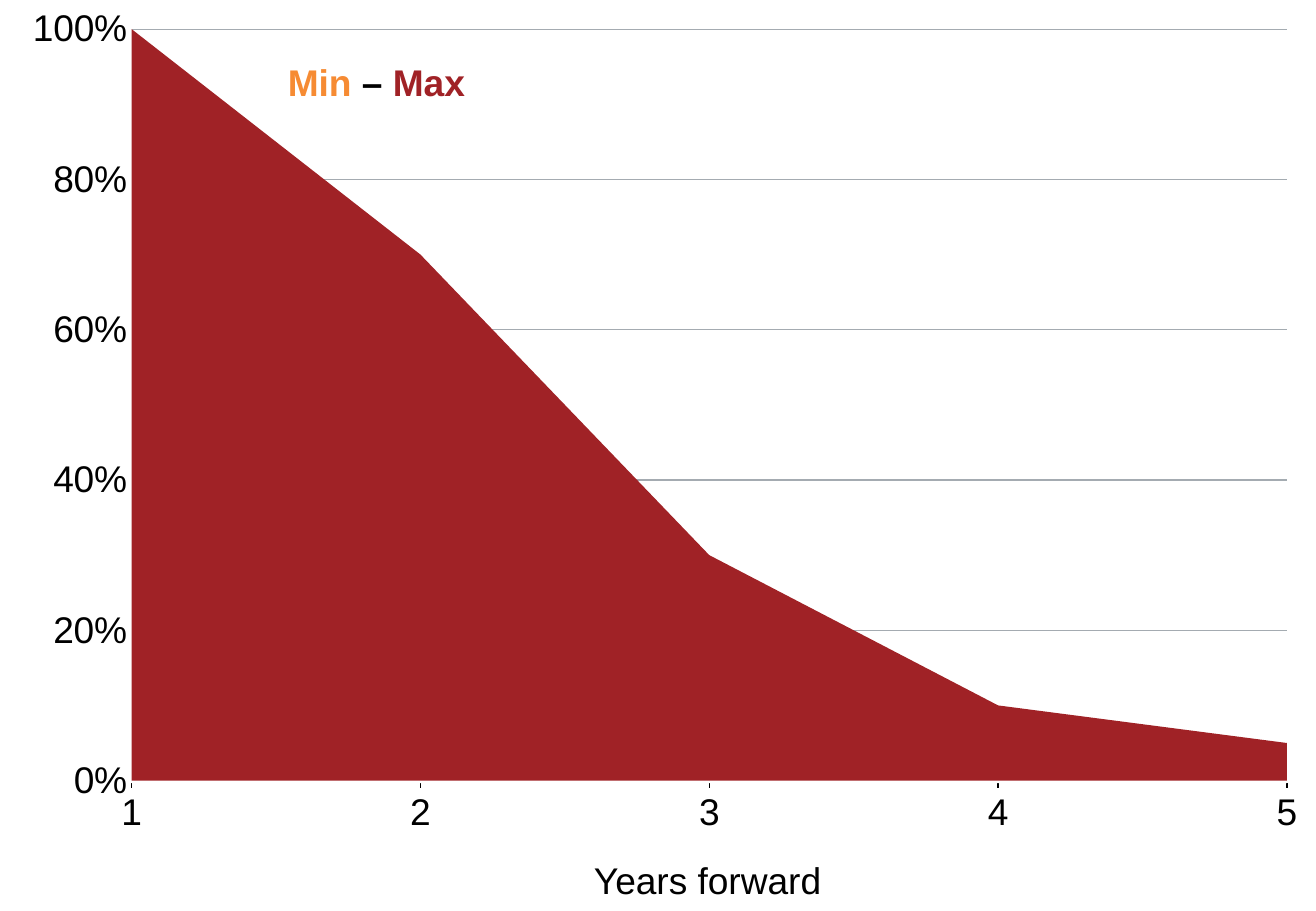
from pptx import Presentation
from pptx.chart.data import CategoryChartData
from pptx.dml.color import RGBColor
from pptx.enum.chart import XL_CHART_TYPE, XL_TICK_MARK
from pptx.enum.text import MSO_ANCHOR, MSO_AUTO_SIZE, PP_ALIGN
from pptx.oxml import parse_xml
from pptx.oxml.ns import nsdecls, qn
from pptx.util import Inches, Pt


class Theme:
    font = "Arial"
    size = Pt(22)
    thin = Pt(0.75)
    thick = Pt(3)
    black = RGBColor.from_string("000000")
    white = RGBColor.from_string("FFFFFF")
    grid = RGBColor.from_string("A4ABB1")
    red = RGBColor.from_string("A02226")
    orange = RGBColor.from_string("F68B33")


YEARS = ["1", "2", "3", "4", "5"]
MAX = [1, 0.7, 0.3, 0.1, 0.05]
MIN = [0.9, 0.6, 0.2, 0.05, 0]
PLOT = {"x": 0.1, "y": 0.032, "w": 0.878, "h": 0.825}


def apply(item, values):
    for name, value in values.items():
        setattr(item, name, value)


def style(font, color=Theme.black, bold=False):
    apply(font, {"name": Theme.font, "size": Theme.size, "bold": bold})
    font.color.rgb = color


def stroke(line, color, width):
    line.color.rgb = color
    line.width = width


def place(chart):
    """Fix the inner plot area as fractions of the chart."""
    area = chart._chartSpace.chart.plotArea
    for old in area.findall(qn("c:layout")):
        area.remove(old)
    modes = "".join(f'<c:{k}Mode val="edge"/>' for k in "xy")
    sizes = "".join(f'<c:{k} val="{v}"/>' for k, v in PLOT.items())
    area.insert(0, parse_xml(
        f'<c:layout {nsdecls("c")}><c:manualLayout>'
        f'<c:layoutTarget val="inner"/>{modes}{sizes}'
        "</c:manualLayout></c:layout>"))
    # Start the area on the value axis
    area.find(qn("c:valAx")).find(qn("c:crossBetween")).set("val", "midCat")


def add_area(slide, left, top, width, height):
    data = CategoryChartData(number_format="0%")
    data.categories = YEARS
    data.add_series("Series 1", MAX)
    data.add_series("Series 2", MIN)
    chart = slide.shapes.add_chart(
        XL_CHART_TYPE.AREA, Inches(left), Inches(top),
        Inches(width), Inches(height), data).chart
    apply(chart, {"has_legend": False, "has_title": False})
    style(chart.font)
    place(chart)

    # Areas
    for row, color in zip(chart.plots[0].series, (Theme.red, Theme.orange)):
        row.format.fill.solid()
        row.format.fill.fore_color.rgb = color
    stroke(row.format.line, Theme.white, Theme.thick)

    # Year axis
    years = chart.category_axis
    apply(years, {"major_tick_mark": XL_TICK_MARK.OUTSIDE,
                  "minor_tick_mark": XL_TICK_MARK.NONE,
                  "has_major_gridlines": False})
    stroke(years.format.line, Theme.black, Theme.thin)
    style(years.tick_labels.font)

    # Share axis
    share = chart.value_axis
    apply(share, {"minimum_scale": 0, "maximum_scale": 1, "major_unit": 0.2,
                  "major_tick_mark": XL_TICK_MARK.NONE,
                  "minor_tick_mark": XL_TICK_MARK.NONE,
                  "has_major_gridlines": True})
    share.format.line.fill.background()
    stroke(share.major_gridlines.format.line, Theme.grid, Theme.thin)
    apply(share.tick_labels, {"number_format": "0%",
                              "number_format_is_linked": False})
    style(share.tick_labels.font)


def add_label(slide, left, top, width, height, parts, bold=False):
    box = slide.shapes.add_textbox(
        Inches(left), Inches(top), Inches(width), Inches(height))
    frame = box.text_frame
    apply(frame, {"word_wrap": False, "vertical_anchor": MSO_ANCHOR.TOP,
                  "auto_size": MSO_AUTO_SIZE.SHAPE_TO_FIT_TEXT})
    line = frame.paragraphs[0]
    line.alignment = PP_ALIGN.LEFT
    for text, color in parts:
        run = line.add_run()
        run.text = text
        style(run.font, color, bold)


def add_page(deck, width, height):
    slide = deck.slides.add_slide(deck.slide_layouts[6])
    add_area(slide, 0, 0, width, height)
    # Axis title
    add_label(slide, 4.79, height - 0.49, 2.1, 0.47,
              [("Years forward", Theme.black)])
    # Colour key
    add_label(slide, 2.27, 0.44, 1.68, 0.47,
              [("Min ", Theme.orange), ("– ", Theme.black),
               ("Max", Theme.red)], bold=True)


def main():
    deck = Presentation()
    width, height = 10.83, 7.5
    apply(deck, {"slide_width": Inches(width),
                 "slide_height": Inches(height)})
    add_page(deck, width, height)
    deck.save("out.pptx")


if __name__ == "__main__":
    main()
